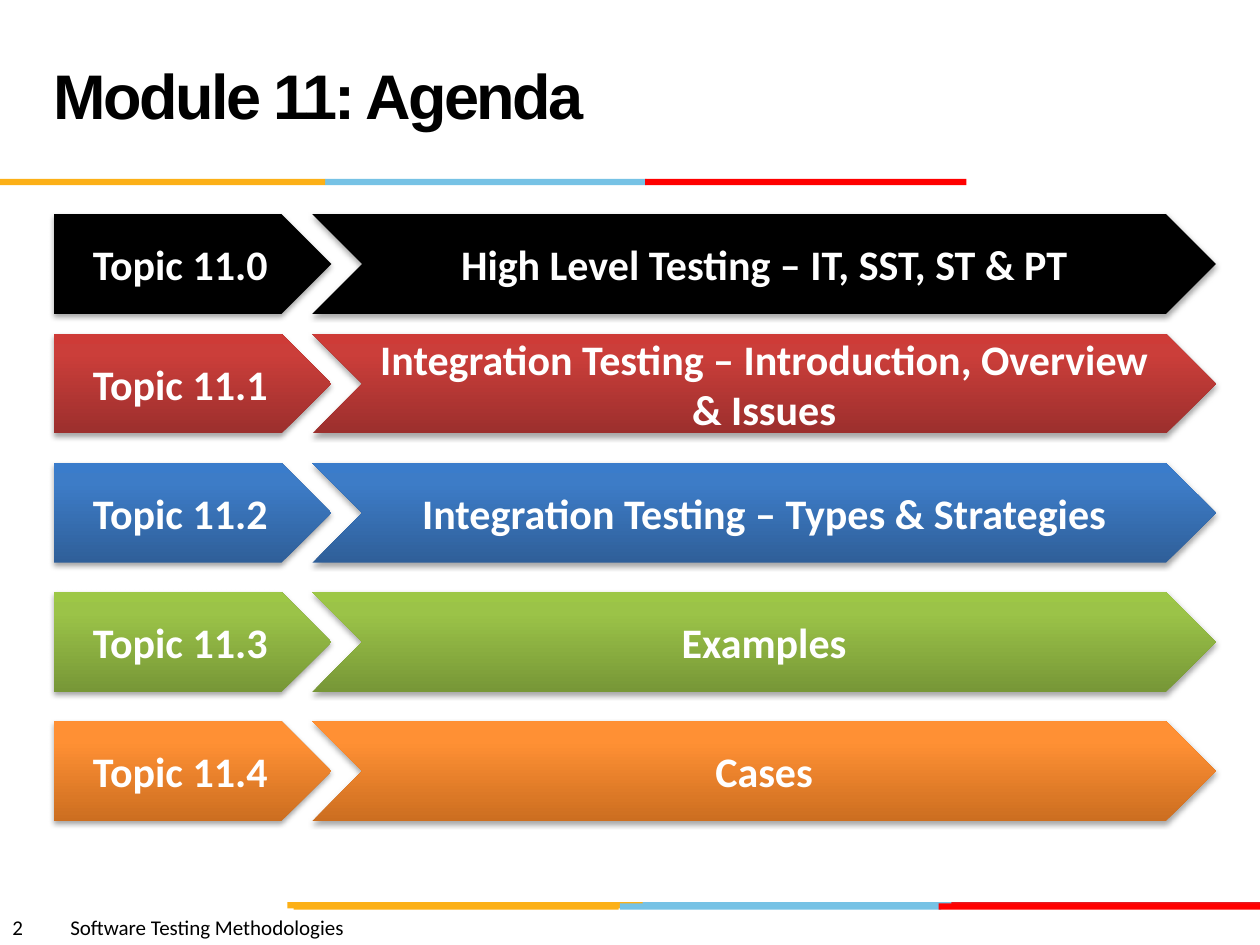
from copy import deepcopy

from lxml.etree import SubElement
from pptx import Presentation
from pptx.dml.color import RGBColor
from pptx.enum.shapes import MSO_SHAPE as Shape
from pptx.enum.text import MSO_ANCHOR as Anchor, MSO_AUTO_SIZE as AutoSize, PP_ALIGN as Align
from pptx.oxml.ns import qn
from pptx.util import Inches, Pt

COLORS = {
    "black": "000000", "white": "FFFFFF",
    "yellow": "FCB017", "sky": "76C2E5", "red": "FF0000", "crimson": "E31C24",
}
GRADIENTS = {
    "red": ("9C2F2D", "CB3E3A", "CE3B37"),
    "blue": ("2F5F99", "3D7CC7", "3A7CCB"),
    "green": ("779737", "9BC348", "9DC746"),
    "orange": ("CC6E20", "FF9034", "FF9136"),
}
STOP_POSITIONS = (0, 0.8, 1)
BARS = [
    (7.16, [(5.06, 2.55, "sky"), (7.55, 2.45, "crimson"), (2.28, 2.82, "yellow")]),
    (7.17, [(4.92, 2.55, "sky"), (2.33, 2.58, "yellow"), (7.45, 2.55, "red")]),
    (1.42, [(2.58, 2.55, "sky"), (0, 2.58, "yellow"), (5.12, 2.55, "red")]),
]
TOPICS = [
    ("High Level Testing – IT, SST, ST & PT", None),
    ("Integration Testing – Introduction, Overview & Issues", "red"),
    ("Integration Testing – Types & Strategies", "blue"),
    ("Examples", "green"),
    ("Cases", "orange"),
]
FIRST_TOP, SECOND_TOP, ROW_PITCH = 1.7, 2.65, 1.025


def color(name):
    """Return the named colour."""
    return RGBColor.from_string(COLORS[name])


def style_font(font, size, name, color_name, bold=False):
    """Set the look of a font."""
    font.size, font.name, font.bold = Pt(size), name, bold
    font.color.rgb = color(color_name)


def add_shape(slide, kind, left, top, width, height):
    """Add a preset shape with no line or shadow."""
    shape = slide.shapes.add_shape(
        kind, Inches(left), Inches(top), Inches(width), Inches(height))
    shape.shadow.inherit = False
    shape.line.fill.background()
    return shape


def add_bar(slide, left, top, width, color_name):
    """Add one piece of a coloured rule."""
    bar = add_shape(slide, Shape.RECTANGLE, left, top, width, 0.05)
    bar.fill.solid()
    bar.fill.fore_color.rgb = color(color_name)


def fill_arrow(shape, gradient):
    """Fill a shape with a three-stop gradient, or black if there is none."""
    if gradient is None:
        shape.fill.solid()
        shape.fill.fore_color.rgb = color("black")
        return
    shape.fill.gradient()
    shape.fill.gradient_angle = 90
    stop_list = shape._element.spPr.find(".//" + qn("a:gsLst"))
    stop_list.insert(1, deepcopy(stop_list[0]))
    for stop, position, value in zip(
            shape.fill.gradient_stops, STOP_POSITIONS, GRADIENTS[gradient]):
        stop.position = position
        stop.color.rgb = RGBColor.from_string(value)


def add_shadow(shape):
    """Give a shape a soft shadow below it."""
    effects = shape._element.spPr.find(qn("a:effectLst"))
    shadow = SubElement(effects, qn("a:outerShdw"), blurRad="40000",
                        dist="23000", dir="5400000", rotWithShape="0")
    shade = SubElement(shadow, qn("a:srgbClr"), val=COLORS["black"])
    SubElement(shade, qn("a:alpha"), val="35000")


def add_arrow(slide, kind, left, top, width, text, gradient):
    """Add a labelled agenda arrow."""
    shape = add_shape(slide, kind, left, top, width, 0.79)
    fill_arrow(shape, gradient)
    add_shadow(shape)
    shape.text_frame.vertical_anchor = Anchor.MIDDLE
    paragraph = shape.text_frame.paragraphs[0]
    paragraph.text = text
    paragraph.alignment = Align.CENTER
    style_font(paragraph.font, 24, "Calibri", "white", bold=True)


def add_text(slide, left, top, width, height, text):
    """Add a wrapping text box and return its frame and paragraph."""
    box = slide.shapes.add_textbox(
        Inches(left), Inches(top), Inches(width), Inches(height))
    frame = box.text_frame
    frame.word_wrap = True
    paragraph = frame.paragraphs[0]
    paragraph.text = text
    return frame, paragraph


def add_footer(slide):
    """Add the page number and course name."""
    frame, paragraph = add_text(
        slide, 0, 7.21, 5, 0.3, "2\tSoftware Testing Methodologies")
    frame.auto_size = AutoSize.SHAPE_TO_FIT_TEXT
    tabs = SubElement(paragraph._p.get_or_add_pPr(), qn("a:tabLst"))
    SubElement(tabs, qn("a:tab"), pos=str(Inches(0.46)), algn="l")
    style_font(paragraph.font, 12, "Calibri", "black")


def add_title(slide):
    """Add the slide title."""
    frame, paragraph = add_text(slide, 0.33, 0.17, 6.92, 1.25, "Module 11: Agenda")
    frame.vertical_anchor = Anchor.MIDDLE
    paragraph.line_spacing = Pt(36)
    style_font(paragraph.font, 36, "Arial", "black", bold=True)
    paragraph.runs[0]._r.get_or_add_rPr().set("spc", "-150")


def main():
    """Build the agenda slide."""
    presentation = Presentation()
    presentation.slide_width, presentation.slide_height = Inches(10), Inches(7.5)
    slide = presentation.slides.add_slide(presentation.slide_layouts[6])
    for top, pieces in BARS:
        for left, width, color_name in pieces:
            add_bar(slide, left, top, width, color_name)
    add_footer(slide)
    add_title(slide)
    for number, (text, gradient) in enumerate(TOPICS):
        top = SECOND_TOP + ROW_PITCH * (number - 1) if number else FIRST_TOP
        add_arrow(slide, Shape.PENTAGON, 0.43, top, 2.2, f"Topic 11.{number}", gradient)
        add_arrow(slide, Shape.CHEVRON, 2.48, top, 7.17, text, gradient)
    presentation.save("out.pptx")


if __name__ == "__main__":
    main()
